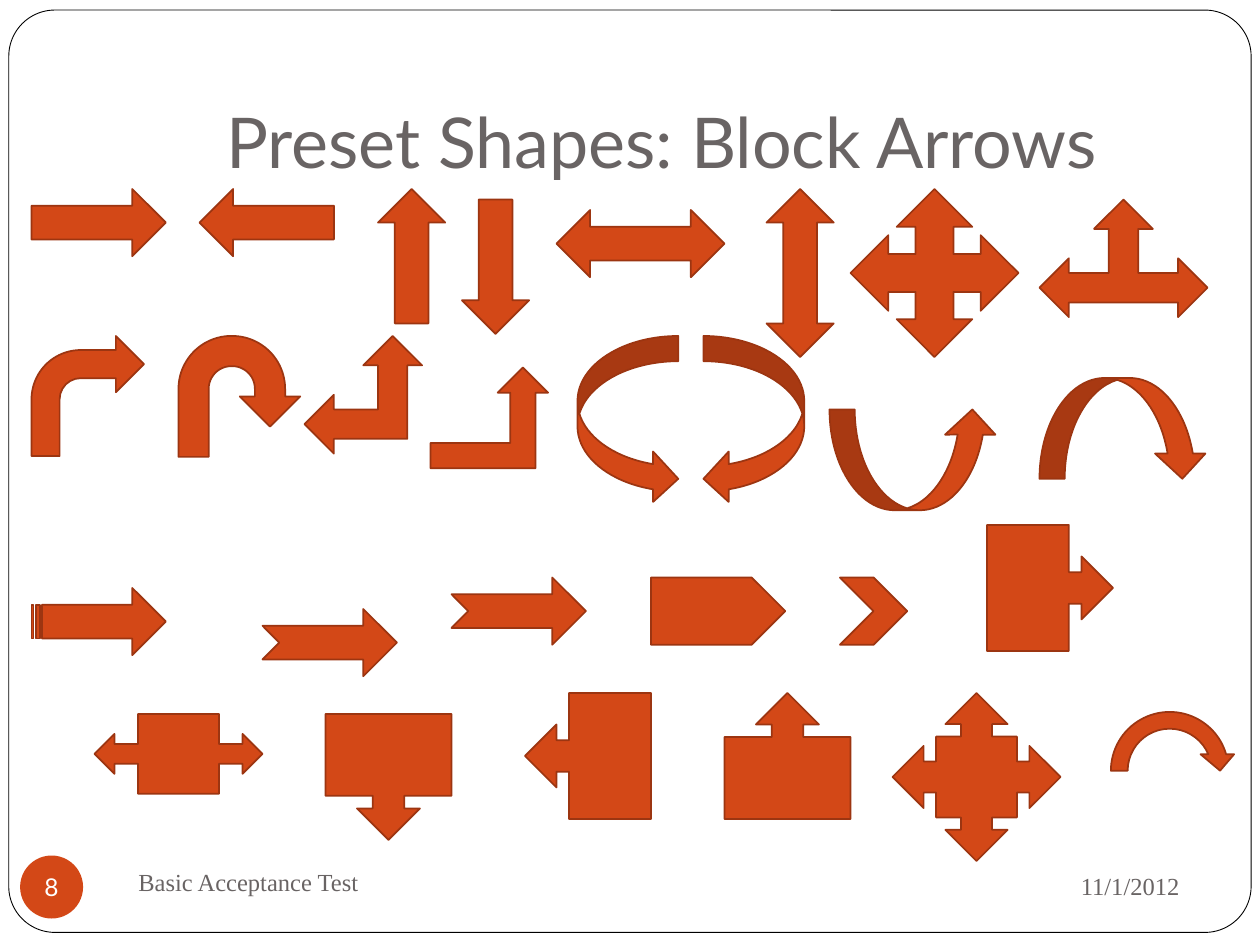
from pptx import Presentation
from pptx import util as u
from pptx.dml.color import RGBColor
from pptx.enum import shapes, text

COLORS = {"paper": "FFFFFF", "frame": "000000", "text": "696464",
          "accent": "D34817", "edge": "9C3511"}
TITLE = "Preset Shapes: Block Arrows"
FOOTER = "Basic Acceptance Test"
DATE = "11/1/2012"
NUMBER = "8"

COLUMN = 1 / 12
SIZE_STEP = 1 / 15
LONG, SHORT = 16, 8
ARROWS = [
    ("RIGHT_ARROW", 3, 18, LONG, SHORT),
    ("LEFT_ARROW", 19, 18, LONG, SHORT),
    ("UP_ARROW", 36, 18, SHORT, LONG),
    ("DOWN_ARROW", 44, 19, SHORT, LONG),
    ("LEFT_RIGHT_ARROW", 53, 20, 20, SHORT),
    ("UP_DOWN_ARROW", 73, 18, SHORT, 20),
    ("QUAD_ARROW", 81, 18, 20, 20),
    ("LEFT_RIGHT_UP_ARROW", 99, 19, 20, 14),
    ("BENT_ARROW", 3, 32, 13.4, 14.3),
    ("U_TURN_ARROW", 17, 32, 14.5, 14.4),
    ("LEFT_UP_ARROW", 29, 32, 14, 14),
    ("BENT_UP_ARROW", 41, 35, 14, 12),
    ("CURVED_RIGHT_ARROW", 55, 32, 12, 20),
    ("CURVED_LEFT_ARROW", 67, 32, 12, 20),
    ("CURVED_UP_ARROW", 79, 39, 20, 12),
    ("CURVED_DOWN_ARROW", 99, 36, 20, 12),
    ("STRIPED_RIGHT_ARROW", 3, 56, LONG, SHORT),
    ("NOTCHED_RIGHT_ARROW", 25, 58, LONG, SHORT),
    ("NOTCHED_RIGHT_ARROW", 43, 55, LONG, SHORT),
    ("PENTAGON", 62, 55, LONG, SHORT),
    ("CHEVRON", 80, 55, SHORT, SHORT),
    ("RIGHT_ARROW_CALLOUT", 94, 50, 15, 15),
    ("LEFT_RIGHT_ARROW_CALLOUT", 9, 68, 20, 9.5),
    ("DOWN_ARROW_CALLOUT", 31, 68, 15, 15),
    ("LEFT_ARROW_CALLOUT", 50, 66, 15, 15),
    ("UP_ARROW_CALLOUT", 69, 66, 15, 15),
    ("QUAD_ARROW_CALLOUT", 85, 66, 20, 20),
    ("CIRCULAR_ARROW", 105, 67, 16, 16),
]


def color(name):
    return RGBColor.from_string(COLORS[name])


def inches(*lengths):
    return [u.Inches(length) for length in lengths]


def write(shape, content, size=14, font="Times New Roman", ink="text",
          align="LEFT", anchor="MIDDLE", margins=(0.1, 0.05, 0.1, 0.05), wrap=True):
    frame = shape.text_frame
    frame.auto_size = text.MSO_AUTO_SIZE.NONE
    frame.word_wrap = wrap
    frame.vertical_anchor = text.MSO_ANCHOR[anchor]
    (frame.margin_left, frame.margin_top,
     frame.margin_right, frame.margin_bottom) = inches(*margins)
    paragraph = frame.paragraphs[0]
    paragraph.alignment = text.PP_ALIGN[align]
    run = paragraph.add_run()
    run.text = content
    run.font.size = u.Pt(size)
    run.font.name = font
    run.font.color.rgb = color(ink)


def draw(slide, kind, box, fill="accent", line=None, width=1):
    shape = slide.shapes.add_shape(shapes.MSO_SHAPE[kind], *inches(*box))
    shape.shadow.inherit = False
    shape.fill.solid()
    shape.fill.fore_color.rgb = color(fill)
    if line:
        shape.line.color.rgb = color(line)
        shape.line.width = u.Pt(width)
    else:
        shape.line.fill.background()
    return shape


def main():
    presentation = Presentation()
    presentation.slide_width, presentation.slide_height = inches(10, 7.5)
    slide = presentation.slides.add_slide(presentation.slide_layouts[5])

    border = draw(slide, "ROUNDED_RECTANGLE", (0.07, 0.08, 9.86, 7.32),
                  fill="paper", line="frame", width=0.5)
    border.adjustments[0] = 0.05
    slide.shapes._spTree.insert(2, border._element)

    title = slide.shapes.title
    title.left, title.top, title.width, title.height = inches(1, 0.3, 8.5, 1.25)
    write(title, TITLE, size=40, font="Lato", align="CENTER", anchor="BOTTOM",
          margins=(0.1, 0.05, 0.1, 0.1))

    date = slide.shapes.add_textbox(*inches(6.75, 6.77, 2.71, 0.52))
    write(date, DATE, align="RIGHT")
    footer = slide.shapes.add_textbox(*inches(1, 6.75, 4.33, 0.5))
    write(footer, FOOTER)
    badge = draw(slide, "OVAL", (0.16, 6.79, 0.5, 0.5))
    write(badge, NUMBER, font="Lato", ink="paper", align="CENTER",
          margins=(0, 0, 0, 0), wrap=False)

    for kind, column, row, width, height in ARROWS:
        box = (column * COLUMN, row * COLUMN, width * SIZE_STEP, height * SIZE_STEP)
        draw(slide, kind, box, line="edge")

    presentation.save("out.pptx")


if __name__ == "__main__":
    main()
